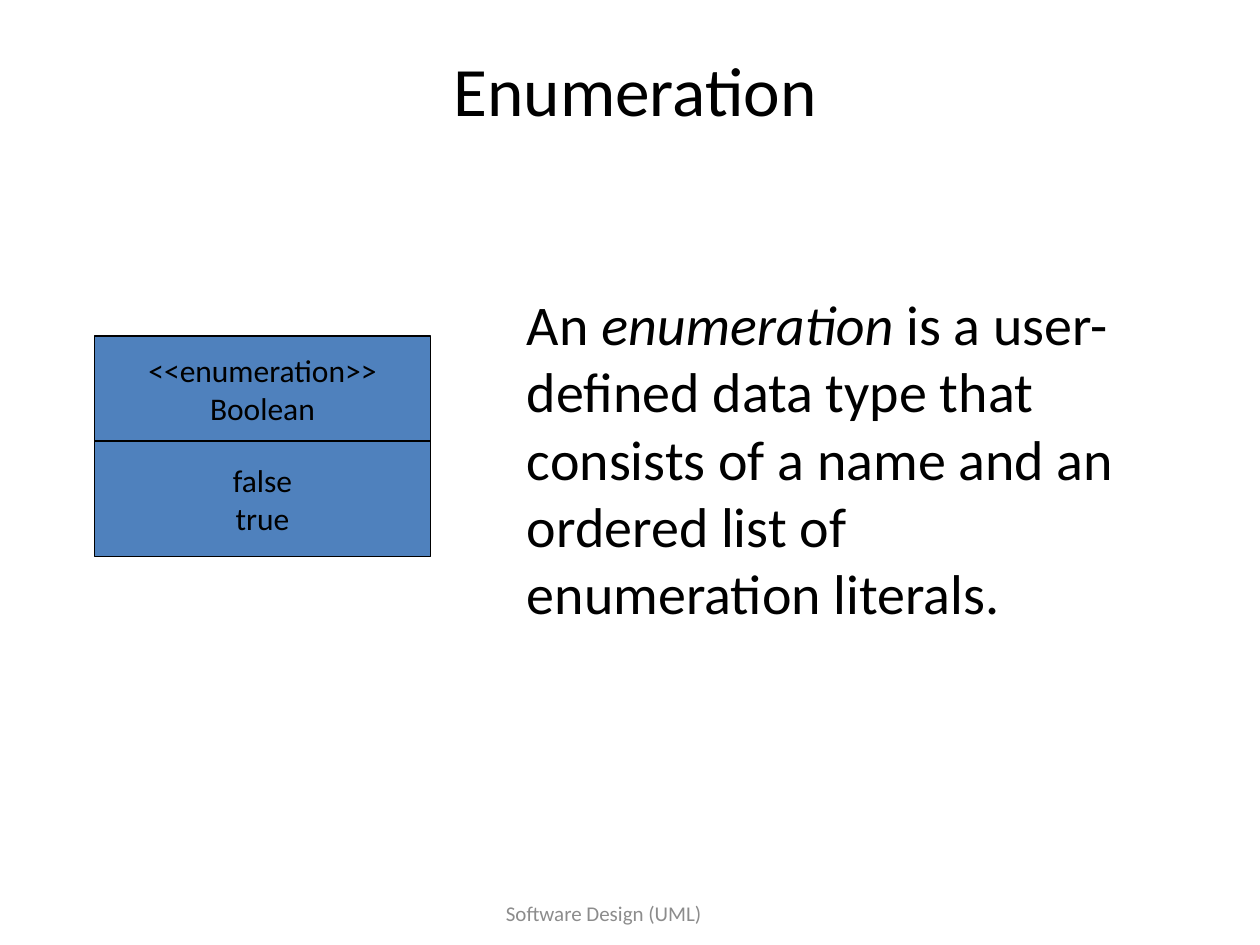
import pptx
import pptx.dml.color
import pptx.enum.shapes
import pptx.enum.text
import pptx.util

PX = 7620
FONT = "Calibri"
COLORS = {"text": "000000", "footer": "8C8C8C", "fill": "4F81BD", "line": "000000"}
ALIGN = pptx.enum.text.PP_ALIGN
ANCHOR = pptx.enum.text.MSO_ANCHOR


def px(*values):
    return [pptx.util.Emu(v * PX) for v in values]


def color(name):
    return pptx.dml.color.RGBColor.from_string(COLORS[name])


def write(s, paragraphs, size, name="text", align=ALIGN.CENTER,
          anchor=ANCHOR.MIDDLE, wrap=True):
    tf = s.text_frame
    tf.word_wrap = wrap
    tf.vertical_anchor = anchor
    for i, runs in enumerate(paragraphs):
        p = tf.add_paragraph() if i else tf.paragraphs[0]
        p.alignment = align
        for text, italic in runs:
            r = p.add_run()
            r.text = text
            r.font.name = FONT
            r.font.size = pptx.util.Pt(size)
            r.font.italic = italic
            r.font.color.rgb = color(name)


def add_text(slide, box, paragraphs, size, **fmt):
    s = slide.shapes.add_textbox(*px(*box))
    write(s, paragraphs, size, **fmt)
    return s


def add_title(slide, box):
    add_text(slide, box, [[("Enumeration", False)]], 39.6)


def add_footer(slide, box):
    add_text(slide, box, [[("Software Design (UML)", False)]], 12, name="footer")


def add_definition(slide, box):
    runs = [
        ("An ", False),
        ("enumeration", True),
        (" is a user-defined data type that consists of a name "
         "and an ordered list of enumeration literals.", False),
    ]
    add_text(slide, box, [runs], 32, align=ALIGN.LEFT, anchor=ANCHOR.TOP)


def add_enumeration(slide, box, header):
    x, y, w, h = box
    group = slide.shapes.add_group_shape()
    compartments = [
        (0, header, ["<<enumeration>>", "Boolean"]),
        (header, h - header, ["false", "true"]),
    ]
    for top, height, lines in compartments:
        s = group.shapes.add_shape(
            pptx.enum.shapes.MSO_SHAPE.RECTANGLE, *px(x, y + top, w, height))
        s.shadow.inherit = False
        s.fill.solid()
        s.fill.fore_color.rgb = color("fill")
        s.line.color.rgb = color("line")
        s.line.width = pptx.util.Pt(0.75)
        write(s, [[(line, False)] for line in lines], 18, wrap=False)


def main():
    prs = pptx.Presentation()
    prs.slide_width, prs.slide_height = px(1200, 900)
    slide = prs.slides.add_slide(prs.slide_layouts[6])
    add_footer(slide, (310, 840, 530, 60))
    add_title(slide, (90, 50, 1030, 70))
    add_enumeration(slide, (90, 320, 320, 210), header=100)
    add_definition(slide, (490, 270, 617, 335))
    prs.save("out.pptx")


if __name__ == "__main__":
    main()
